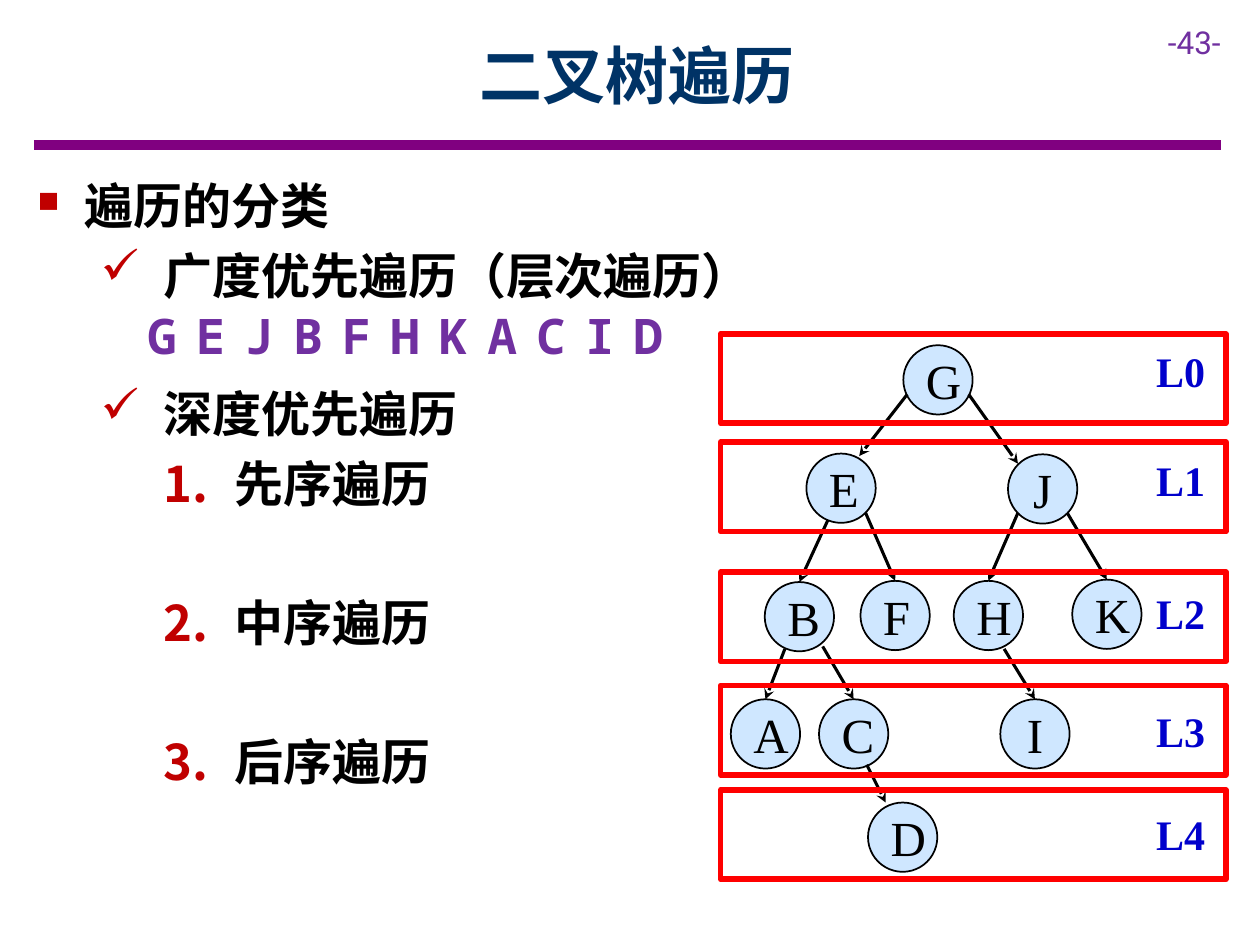
from lxml.etree import SubElement
from pptx import Presentation
from pptx.dml.color import RGBColor
from pptx.enum.shapes import MSO_CONNECTOR as Connector, MSO_SHAPE as Shape
from pptx.enum.text import MSO_ANCHOR as Anchor, PP_ALIGN as Align
from pptx.oxml.ns import qn
from pptx.util import Pt

BLACK = RGBColor(0x00, 0x00, 0x00)
NAVY = RGBColor(0x00, 0x33, 0x66)
PURPLE = RGBColor(0x80, 0x00, 0x80)
VIOLET = RGBColor(0x70, 0x30, 0xA0)
CRIMSON = RGBColor(0xC0, 0x00, 0x00)
RED = RGBColor(0xFF, 0x00, 0x00)
BLUE = RGBColor(0x00, 0x00, 0xCC)
SKY = RGBColor(0x99, 0xCC, 0xFF)

CJK = "Noto Sans CJK SC"
MONO = "Noto Sans Mono"
SERIF = "Times New Roman"

LINE_HEIGHT = 33.67
GAP = 6
SKIPPED_LINE = LINE_HEIGHT + GAP
OUTLINE = [
    ("遍历的分类", 0, 27, 27, "■", GAP),
    ("广度优先遍历（层次遍历）", 1, 72, 36, "✓", GAP + SKIPPED_LINE),
    ("深度优先遍历", 1, 72, 36, "✓", GAP),
    ("先序遍历", 2, 112.5, 40.5, 1, GAP + SKIPPED_LINE),
    ("中序遍历", 2, 112.5, 40.5, 2, GAP + SKIPPED_LINE),
    ("后序遍历", 2, 112.5, 40.5, 3, GAP),
]

NODE_SIZE = 39.6
FRAME_HEIGHT = 51.1
LEVELS = [(0, 2.9), (61.9, 65.5), (136.1, 141.1), (200.9, 208.8), (260.6, 267.8)]
NODES = {
    "G": (104.4, 6.5), "E": (49, 68.4), "J": (164.2, 68.8),
    "B": (25.2, 141.8), "F": (79.9, 141.1), "H": (133.2, 141.1), "K": (200.9, 140.4),
    "A": (5.8, 208.8), "C": (56.2, 208.8), "I": (159.8, 208.8), "D": (84.2, 267.8),
}
TOP_EDGES = [
    ((61.2, 106.6), "B"), ((82.8, 102.2), "F"), ((169.9, 102.2), "H"),
    ((198, 102.2), "K"), ((36.7, 180), "A"), ((58.3, 178.6), "C"), ((162, 180), "I"),
]
SIDE_EDGES = [
    ((106.6, 34.6), (79.2, 69.8)),
    ((141.8, 34.6), (169.9, 74.2)),
    ((83.5, 246.2), (94.3, 267.8)),
]


def style(paragraph, size, name, color, bold=False, align=Align.CENTER):
    """Set the alignment and font of a paragraph, East Asian face included."""
    paragraph.alignment = align
    font = paragraph.font
    font.size, font.name, font.bold = Pt(size), name, bold
    font.color.rgb = color
    properties = paragraph._p.get_or_add_pPr().find(qn("a:defRPr"))
    SubElement(properties, qn("a:ea"), typeface=name)


def add_text(slide, box, text, size, name, color, **options):
    """Add a one-paragraph text box and return its frame."""
    frame = slide.shapes.add_textbox(*map(Pt, box)).text_frame
    frame.word_wrap = True
    frame.text = text
    style(frame.paragraphs[0], size, name, color, **options)
    return frame


def add_line(slide, start, end, color, width):
    """Add a straight line without shadow."""
    line = slide.shapes.add_connector(Connector.STRAIGHT, *map(Pt, (*start, *end)))
    line.line.color.rgb = color
    line.line.width = Pt(width)
    SubElement(line._element.spPr, qn("a:effectLst"))
    return line


def add_arrow(slide, start, end):
    """Add a tree edge with a stealth arrowhead."""
    arrow = add_line(slide, start, end, BLACK, 1.75)
    SubElement(arrow.line._get_or_add_ln(), qn("a:tailEnd"), type="stealth")
    return arrow


def add_header(slide, left, top, width, height):
    """Place the title, the page number and the rule below them."""
    title = add_text(slide, (left + 45.4, top, 598.3, 72), "二叉树遍历", 36, CJK, NAVY, bold=True)
    title.vertical_anchor = Anchor.MIDDLE
    number_box = (left + width - 37.4, top + 2.9, 59.8, 28.8)
    add_text(slide, number_box, "-43-", 18, "Roboto", VIOLET, align=Align.LEFT)
    bottom = top + height
    add_line(slide, (left, bottom), (left + width, bottom), PURPLE, 6)


def add_bullet(paragraph, margin, hanging, mark):
    """Give a paragraph a hanging bullet character or number."""
    properties = paragraph._p.get_or_add_pPr()
    properties.set("marL", str(Pt(margin)))
    properties.set("indent", str(-Pt(hanging)))
    color = SubElement(properties, qn("a:buClr"))
    SubElement(color, qn("a:srgbClr"), val=str(CRIMSON))
    if isinstance(mark, int):
        SubElement(properties, qn("a:buAutoNum"), type="arabicPeriod", startAt=str(mark))
    else:
        if mark == "■":
            SubElement(properties, qn("a:buSzPct"), val="60000")
        SubElement(properties, qn("a:buChar"), char=mark)


def add_outline(slide, left, top, width, height):
    """Place the bulleted list of traversal kinds."""
    frame = slide.shapes.add_textbox(*map(Pt, (left, top, width, height))).text_frame
    frame.word_wrap = True
    frame.margin_top = Pt(6)
    for index, (text, level, margin, hanging, mark, after) in enumerate(OUTLINE):
        paragraph = frame.add_paragraph() if index else frame.paragraphs[0]
        paragraph.text = text
        paragraph.level = level
        paragraph.line_spacing = Pt(LINE_HEIGHT)
        paragraph.space_after = Pt(after)
        add_bullet(paragraph, margin, hanging, mark)
        style(paragraph, 28, CJK, BLACK, bold=True, align=Align.LEFT)


def add_visit_order(slide, left, top, width, height):
    """Place the level-order letters in evenly spaced boxes."""
    letters = "GEJBFHKACID"
    cell = 35.3
    pitch = (width - cell) / (len(letters) - 1)
    for index, letter in enumerate(letters):
        box = (left + index * pitch, top, cell, height)
        frame = add_text(slide, box, letter, 28, MONO, VIOLET, bold=True)
        frame.vertical_anchor = Anchor.MIDDLE


def add_node(slide, left, top, letter):
    """Add one translucent round tree node."""
    node = slide.shapes.add_shape(Shape.OVAL, *map(Pt, (left, top, NODE_SIZE, NODE_SIZE)))
    node.shadow.inherit = False
    node.fill.solid()
    node.fill.fore_color.rgb = SKY
    color = node._element.spPr.find(qn("a:solidFill")).find(qn("a:srgbClr"))
    SubElement(color, qn("a:alpha"), val="47000")
    node.line.color.rgb = BLACK
    node.line.width = Pt(1)
    frame = node.text_frame
    frame.word_wrap = True
    frame.vertical_anchor = Anchor.MIDDLE
    frame.margin_left = frame.margin_right = frame.margin_top = frame.margin_bottom = Pt(7.2)
    frame.text = letter
    style(frame.paragraphs[0], 28, SERIF, BLACK)
    return node


def add_tree(slide, left, top, width):
    """Place the binary tree with its edges and level frames."""
    def place(point):
        return left + point[0], top + point[1]

    nodes = {letter: add_node(slide, *place(point), letter) for letter, point in NODES.items()}
    for start, child in TOP_EDGES:
        add_arrow(slide, place(start), place(NODES[child])).end_connect(nodes[child], 0)
    for start, end in SIDE_EDGES:
        add_arrow(slide, place(start), place(end))
    for level, (frame_top, label_top) in enumerate(LEVELS):
        label_box = (left + width - 51.8, top + label_top, 51.8, 36)
        add_text(slide, label_box, f"L{level}", 24, SERIF, BLUE, bold=True)
        frame_box = (left, top + frame_top, width, FRAME_HEIGHT)
        frame = slide.shapes.add_shape(Shape.RECTANGLE, *map(Pt, frame_box))
        frame.shadow.inherit = False
        frame.fill.background()
        frame.line.color.rgb = RED
        frame.line.width = Pt(3.25)


def main():
    """Build and save the slide."""
    presentation = Presentation()
    presentation.slide_width, presentation.slide_height = Pt(720), Pt(540)
    slide = presentation.slides.add_slide(presentation.slide_layouts[6])
    add_header(slide, 19.4, 6.5, 678.3, 76.3)
    add_outline(slide, 14.4, 94.3, 669.6, 361.4)
    add_tree(slide, 411.8, 190.8, 288.7)
    add_visit_order(slide, 74.9, 165.6, 313.2, 51.1)
    presentation.save("out.pptx")


if __name__ == "__main__":
    main()
